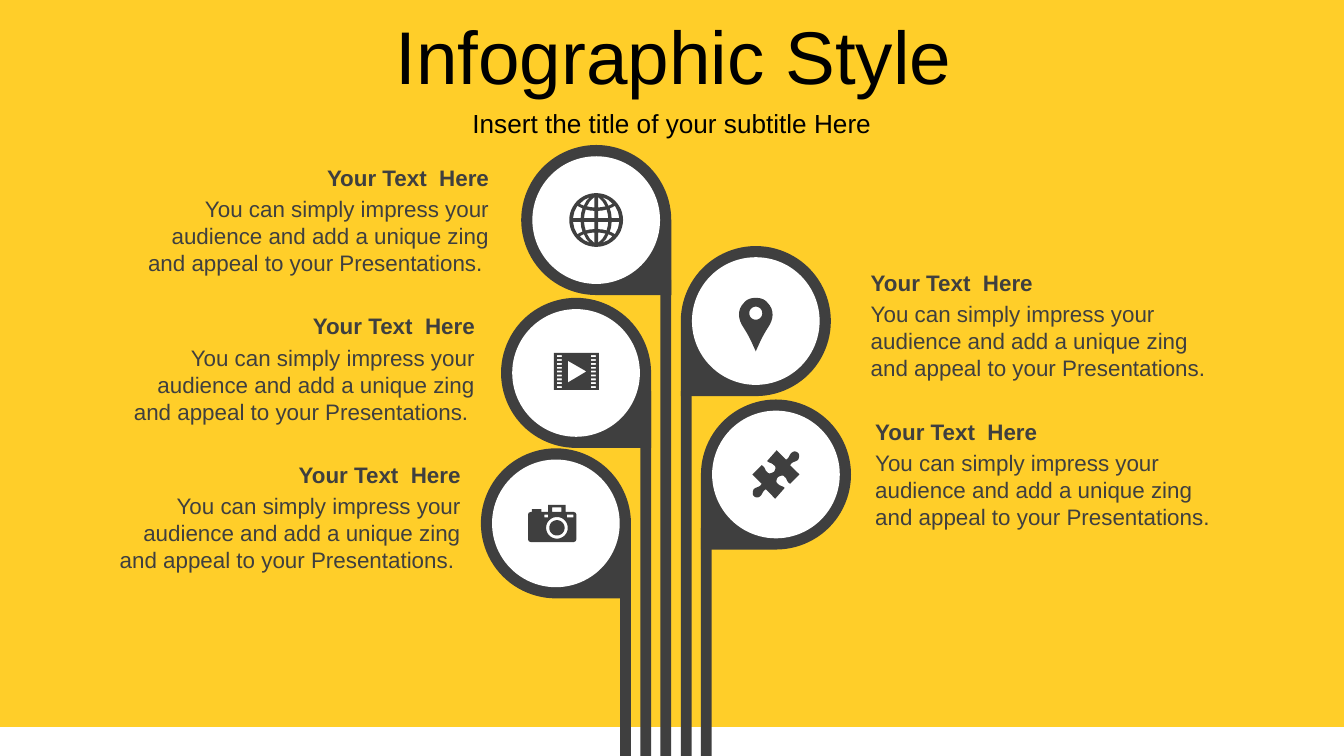
from math import cos, pi, sin

from pptx import Presentation
from pptx.dml.color import RGBColor
from pptx.enum.shapes import MSO_SHAPE
from pptx.enum.text import MSO_ANCHOR, MSO_AUTO_SIZE, PP_ALIGN
from pptx.util import Pt

HUES = {"sun": "FFCE29", "dark": "3F3F3F", "white": "FFFFFF", "black": "000000"}
LOOKS = {
    "title": {"size": Pt(40), "bold": False, "hue": "black"},
    "sub": {"size": Pt(14), "bold": False, "hue": "black"},
    "head": {"size": Pt(12), "bold": True, "hue": "dark"},
    "body": {"size": Pt(12), "bold": False, "hue": "dark"},
}
HEAD = "Your Text  Here"
BODY = ("You can simply impress your audience and add a unique zing "
        "and appeal to your Presentations.")


def write(box, text, look, align, anchor, inset):
    frame = box.text_frame
    traits = {"word_wrap": True, "auto_size": MSO_AUTO_SIZE.NONE,
              "vertical_anchor": anchor, "margin_left": Pt(7.2),
              "margin_right": Pt(7.2), "margin_top": Pt(inset),
              "margin_bottom": Pt(inset)}
    for name, value in traits.items():
        setattr(frame, name, value)
    para = frame.paragraphs[0]
    para.alignment = align
    run = para.add_run()
    run.text = text
    run.font.name = "Arial"
    for name in ("size", "bold"):
        setattr(run.font, name, LOOKS[look][name])
    run.font.color.rgb = RGBColor.from_string(HUES[LOOKS[look]["hue"]])


def trace(steps):
    spots = [steps[0]]
    for step in steps[1:]:
        if len(step) == 2:
            spots.append(step)
            continue
        nodes = [spots[-1], step[:2], step[2:4], step[4:]]
        for t in (n / 8 for n in range(1, 9)):
            parts = ((1 - t) ** 3, 3 * t * (1 - t) ** 2, 3 * t * t * (1 - t), t ** 3)
            spots.append(tuple(sum(w * node[axis] for w, node in zip(parts, nodes))
                               for axis in (0, 1)))
    return spots


deck = Presentation()
deck.slide_width, deck.slide_height = Pt(720), Pt(405)
slide = deck.slides.add_slide(deck.slide_layouts[5])
shapes = slide.shapes
slide.background.fill.solid()
slide.background.fill.fore_color.rgb = RGBColor.from_string(HUES["sun"])

title = shapes.title
for name, value in zip(("left", "top", "width", "height"), (1.4, 6.5, 718.6, 46)):
    setattr(title, name, Pt(value))
write(title, "Infographic Style", "title", PP_ALIGN.CENTER, MSO_ANCHOR.MIDDLE, 7.2)
sub = shapes.add_textbox(Pt(0), Pt(53.5), Pt(720), Pt(24.5))
write(sub, "Insert the title of your subtitle Here", "sub",
      PP_ALIGN.CENTER, MSO_ANCHOR.MIDDLE, 7.2)

panes = [
    [(1, 1), (6.5, 1), (6.2, 3.3), (5.6, 5.6), (3.4, 5.1), (1, 4.9)],
    [(8.3, 1), (12.4, 1), (11.7, 4.4), (10.1, 7.6), (8.8, 6.9), (7.3, 6.2), (8, 3.8)],
    [(1, 6.7), (3, 6.9), (5, 7.3), (3.4, 10), (1, 12.3)],
    [(6.6, 7.6), (5.3, 10.2), (3.4, 12.2), (6.4, 10.8), (8.8, 8.7)],
]
globe = {"discs": [(0, 0, 14.4)],
         "lines": [[(x * h, y * v) for x, y in pane]
                   for pane in panes for h in (-1, 1) for v in (-1, 1)]}
film = {"boxes": [(-11.9, -10.7, 12.2, 9.1)]
        + [(x, -9.5 + 2.07 * row, x + 2.7, -8.5 + 2.07 * row)
           for row in range(9) for x in (-10.3, 8)],
        "lines": [[(-4.3, -6.5), (-4.3, 5.1), (5.6, -0.8)]]}
camera = {"discs": [(0.6, 2.4, 5.8), (0.6, 2.4, 4.1)],
          "boxes": [(-2, -8.6, 3, -6.2), (-6.2, -4.6, -4.1, -3.2), (5.9, -4.6, 9.4, -3.2)],
          "lines": [[(-14.9, -4.7), (-14.5, -5.7), (-13.5, -6.1), (-12.8, -6.1),
                     (-12.8, -7.6), (-7.7, -7.6), (-7.7, -6.1), (-4.1, -6.1),
                     (-4.1, -9.9), (5.2, -9.9), (5.2, -6.1), (9.6, -6.1),
                     (10.6, -5.7), (11, -4.7), (11, 8.6), (10.6, 9.6), (9.6, 10),
                     (-13.5, 10), (-14.5, 9.6), (-14.9, 8.6)]]}
side = trace([(0, -12.4), (2.5, -12.4, 4.7, -11.7, 6.1, -10),
              (10.4, -5.8, 9.4, -0.7, 6.5, 3.6), (3.6, 8, 2.5, 10.8, 0, 16.2)])
pin = {"discs": [(0, -4.2, 3.5)],
       "lines": [side + [(-x, y) for x, y in side[-2:0:-1]]]}
half = trace([(11.9, -11.5), (12.6, -10.8, 12.6, -9.4, 11.9, -7.9),
              (10.4, -6.5, 9, -7.2, 7.6, -5), (12.6, 0), (7.6, 5),
              (5.4, 3.6, 6.1, 2.2, 4.7, 1.4), (4, 0, 2.5, 0.7, 1.1, 1.4),
              (0.4, 2.2, -0.4, 4.3, 1.1, 5), (2.5, 6.5, 3.2, 5.8, 4.7, 7.2),
              (-0.4, 13), (-5.4, 7.9), (-7.6, 9.4, -6.8, 10.1, -8.3, 11.5),
              (-9.7, 13, -11.2, 12.2, -11.9, 11.5)])
puzzle = {"lines": [half + [(-x, -y) for x, y in half[1:-1]]]}

ring = [(cos(n * pi / 24), sin(n * pi / 24)) for n in range(48)]
DROP, DISC, STEM = 80.4, 68.4, 5.8
leaves = [
    (-1, 319.4, 117.9, 150, 69.2, 84.2, globe),
    (-1, 308.6, 199.8, 209.5, 61.6, 163.8, film),
    (-1, 297.8, 280.4, 283, 54, 243.4, camera),
    (1, 404.9, 172, 209.5, 459.4, 140.6, pin),
    (1, 415.7, 254.2, 283, 461.8, 220.4, puzzle),
]
strip = shapes.add_shape(MSO_SHAPE.RECTANGLE, Pt(0), Pt(389.5), Pt(720), Pt(15.5))
paint = [(strip, "white")]
for way, x, y, top, left, high, icon in leaves:
    for kind, size, hue in ((MSO_SHAPE.TEAR, DROP, "dark"), (MSO_SHAPE.OVAL, DISC, "white")):
        part = shapes.add_shape(kind, Pt(x - size / 2), Pt(y - size / 2), Pt(size), Pt(size))
        part.rotation = (135 + 45 * way) if kind == MSO_SHAPE.TEAR else 0
        paint.append((part, hue))
    edge = x - DROP / 2 if way > 0 else x + DROP / 2 - STEM
    stem = shapes.add_shape(MSO_SHAPE.RECTANGLE, Pt(edge), Pt(top), Pt(STEM), Pt(405 - top))

    loops = list(icon.get("lines", []))
    loops += [[(l, t), (r, t), (r, b), (l, b)] for l, t, r, b in icon.get("boxes", [])]
    loops += [[(h + r * c, v + r * s) for c, s in ring] for h, v, r in icon.get("discs", [])]
    pen = None
    for loop in loops:
        spots = [(100 * h, 100 * v) for h, v in loop]
        if pen is None:
            pen = shapes.build_freeform(*spots[0], scale=Pt(0.01))
        else:
            pen.move_to(*spots[0])
        pen.add_line_segments(spots[1:], close=True)
    paint += [(stem, "dark"), (pen.convert_to_shape(Pt(x), Pt(y)), "dark")]

    align = PP_ALIGN.LEFT if way > 0 else PP_ALIGN.RIGHT
    body = BODY if way > 0 else BODY + " "
    for text, look, drop, tall in ((body, "body", 16.9, 51), (HEAD, "head", 0, 21.6)):
        box = shapes.add_textbox(Pt(left), Pt(high + drop), Pt(200), Pt(tall))
        write(box, text, look, align, MSO_ANCHOR.TOP, 3.6)

for shape, hue in paint:
    shape.shadow.inherit = False
    shape.fill.solid()
    shape.fill.fore_color.rgb = RGBColor.from_string(HUES[hue])
    shape.line.fill.background()

deck.save("out.pptx")
